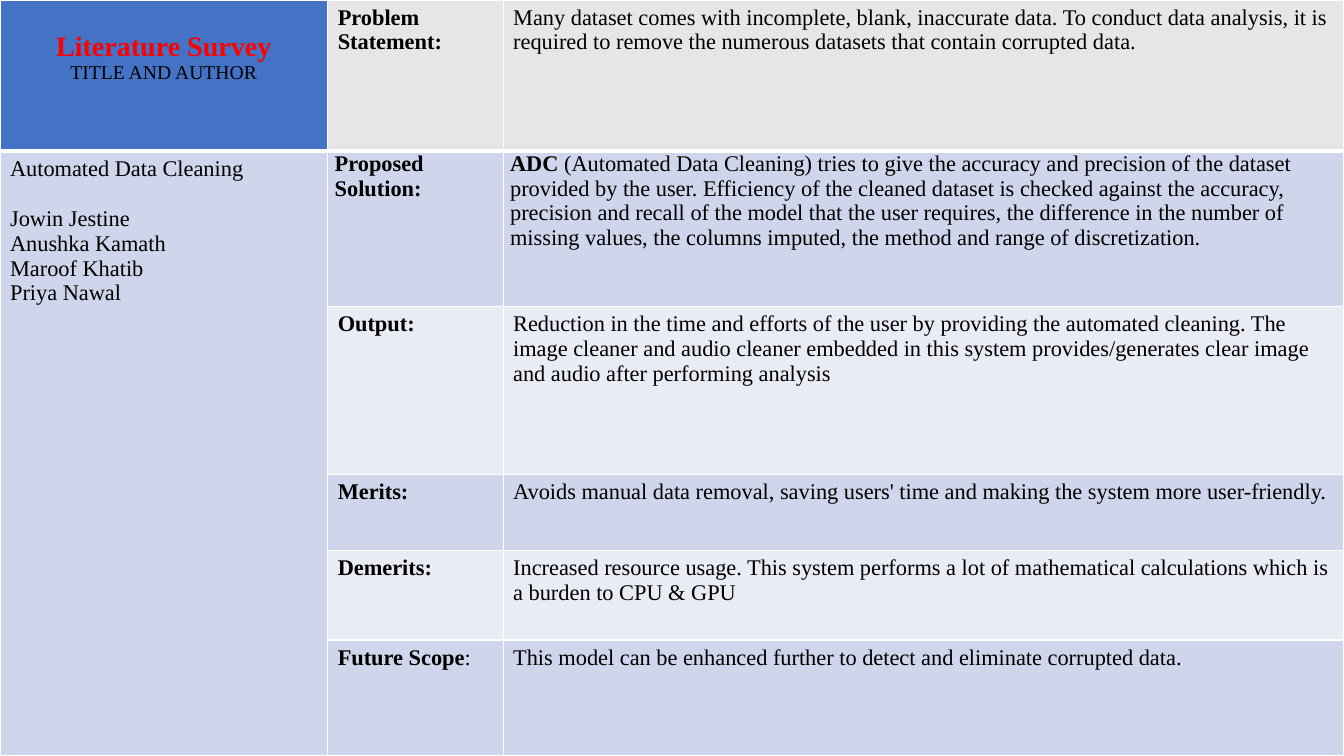
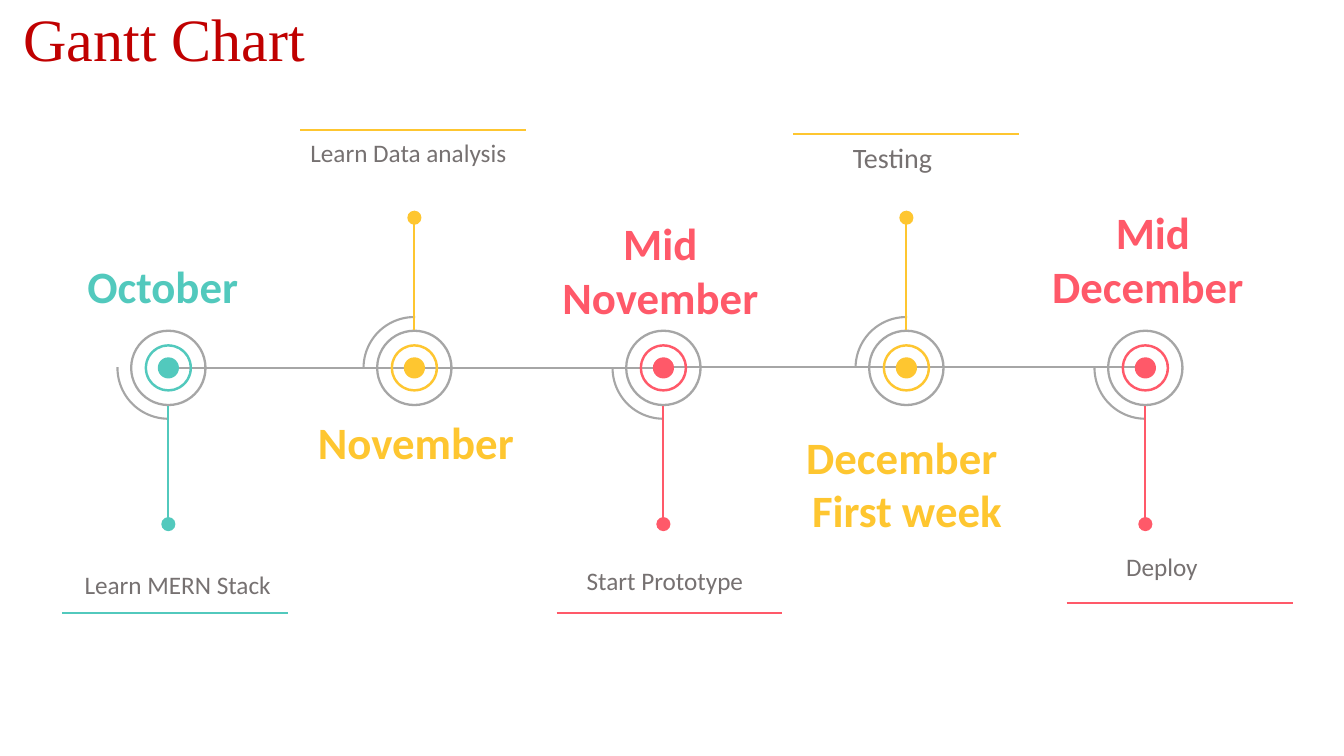
from lxml.etree import SubElement
from pptx import Presentation
from pptx.dml.color import RGBColor
from pptx.enum.shapes import MSO_CONNECTOR, MSO_SHAPE
from pptx.enum.text import MSO_ANCHOR, PP_ALIGN
from pptx.oxml import parse_xml
from pptx.oxml.ns import nsdecls, qn
from pptx.util import Inches, Pt

# Colours and fonts
BLACK = RGBColor(0x00, 0x00, 0x00)
RED = RGBColor(0xFF, 0x00, 0x00)
DARK_RED = RGBColor(0xC0, 0x00, 0x00)
BLUE = RGBColor(0x44, 0x72, 0xC4)
HEADER_GRAY = RGBColor(0xE7, 0xE6, 0xE6)
BAND_DARK = RGBColor(0xCF, 0xD5, 0xEA)
BAND_LIGHT = RGBColor(0xE9, 0xEB, 0xF5)
AXIS_GRAY = RGBColor(0xA6, 0xA6, 0xA6)
LABEL_GRAY = RGBColor(0x76, 0x71, 0x71)
TEAL = RGBColor(0x52, 0xC9, 0xBD)
YELLOW = RGBColor(0xFE, 0xC6, 0x30)
PINK = RGBColor(0xFF, 0x59, 0x69)
SERIF = "Times New Roman"
SANS = "Calibri"


class Deck:
    """Holds the shared style and the current slide."""

    def __init__(self):
        self.prs = Presentation()
        self.prs.slide_width = Inches(13.33)
        self.prs.slide_height = Inches(7.5)
        self.s = None

    def new_slide(self):
        self.s = self.prs.slides.add_slide(self.prs.slide_layouts[6])

    def run(self, p, text, color=BLACK, size=16, **formats):
        r = p.add_run()
        r.text = text
        values = {"name": SERIF, "size": Pt(size), "bold": False, **formats}
        for key, value in values.items():
            setattr(r.font, key, value)
        r.font.color.rgb = color

    def text(self, x, y, w, h, lines, color, size, align=PP_ALIGN.LEFT,
             anchor=MSO_ANCHOR.TOP, spacing=1.0, **formats):
        tf = self.s.shapes.add_textbox(
            Inches(x), Inches(y), Inches(w), Inches(h)).text_frame
        tf.word_wrap = True
        tf.vertical_anchor = anchor
        for i, line in enumerate(lines):
            p = tf.add_paragraph() if i else tf.paragraphs[0]
            p.alignment = align
            p.line_spacing = spacing
            self.run(p, line, color, size, **formats)

    def line(self, x1, y1, x2, y2, color):
        c = self.s.shapes.add_connector(
            MSO_CONNECTOR.STRAIGHT,
            Inches(x1), Inches(y1), Inches(x2), Inches(y2))
        c.line.color.rgb = color
        c.line.width = Pt(1.5)
        SubElement(c._element.spPr, qn("a:effectLst"))

    def round_shape(self, kind, cx, cy, d, color, adjust=()):
        """Shape of diameter d centred on (cx, cy)."""
        sp = self.s.shapes.add_shape(
            kind, Inches(cx - d / 2), Inches(cy - d / 2), Inches(d), Inches(d))
        sp.shadow.inherit = False
        for i, value in enumerate(adjust):
            sp.adjustments[i] = value
        if kind == MSO_SHAPE.ARC:
            sp.fill.background()
            sp.line.color.rgb = color
            sp.line.width = Pt(1.5)
        else:
            sp.fill.solid()
            sp.fill.fore_color.rgb = color
            sp.line.fill.background()
        return sp

    def table(self, cols, rows):
        shape = self.s.shapes.add_table(
            len(rows), len(cols), 0, 0, Inches(sum(cols)), Inches(sum(rows)))
        tbl = shape.table
        tbl.first_row = tbl.horz_banding = False
        for col, w in zip(tbl.columns, cols):
            col.width = Inches(w)
        for row, h in zip(tbl.rows, rows):
            row.height = Inches(h)
        return tbl

    def cell_style(self, cell, fill, bottom=1):
        """Solid fill and white borders."""
        cell.fill.solid()
        cell.fill.fore_color.rgb = fill
        tc_pr = cell._tc.get_or_add_tcPr()
        for i, side in enumerate("LRTB"):
            width = Pt(bottom if side == "B" else 1)
            tc_pr.insert(i, parse_xml(
                f'<a:ln{side} {nsdecls("a")} w="{width}"><a:solidFill>'
                f'<a:srgbClr val="FFFFFF"/></a:solidFill></a:ln{side}>'))

    def cell_text(self, cell, runs):
        p = cell.text_frame.paragraphs[0]
        for text, bold in runs:
            self.run(p, text, bold=bold)


deck = Deck()

# Slide 1: literature survey table
deck.new_slide()
SURVEY = [
    ([("Problem Statement:", True)],
     [("Many dataset comes with incomplete, blank, inaccurate data. To conduct "
       "data analysis, it is required to remove the numerous datasets that "
       "contain corrupted data.", False)]),
    ([("Proposed Solution:", True)],
     [("ADC ", True),
      ("(Automated Data Cleaning) tries to give the accuracy and precision of "
       "the dataset provided by the user. Efficiency of the cleaned dataset is "
       "checked against the accuracy, precision and recall of the model that "
       "the user requires, the difference in the number of missing values, the "
       "columns imputed, the method and range of discretization.", False)]),
    ([("Output:", True)],
     [("Reduction in the time and efforts of the user by providing the "
       "automated cleaning. The image cleaner and audio cleaner embedded in "
       "this system provides/generates clear image and audio after performing "
       "analysis", False)]),
    ([("Merits:", True)],
     [("Avoids manual data removal, saving users' time and making the system "
       "more user-friendly.", False)]),
    ([("Demerits:", True)],
     [("Increased resource usage. This system performs a lot of mathematical "
       "calculations which is a burden to CPU & GPU", False)]),
    ([("Future Scope", True), (":", False)],
     [("This model can be enhanced further to detect and eliminate corrupted "
       "data.", False)]),
]
PAPER = ["Automated Data Cleaning", "Jowin Jestine", "Anushka Kamath",
         "Maroof Khatib", "Priya Nawal"]

tbl = deck.table([3.25, 1.74, 8.34], [1.5, 1.54, 1.67, 0.75, 0.89, 1.15])
tbl.cell(1, 0).merge(tbl.cell(5, 0))
for i, (heading, body) in enumerate(SURVEY):
    band = BAND_DARK if i % 2 else BAND_LIGHT
    right_fill = band if i else HEADER_GRAY
    for j, fill in enumerate((BAND_DARK if i else BLUE, right_fill, right_fill)):
        deck.cell_style(tbl.cell(i, j), fill, 1 if i else 3)
    deck.cell_text(tbl.cell(i, 1), heading)
    deck.cell_text(tbl.cell(i, 2), body)
tbl.cell(5, 2).text_frame.paragraphs[0].alignment = PP_ALIGN.JUSTIFY

# The proposed solution row has tighter margins
for j in (1, 2):
    cell = tbl.cell(1, j)
    cell.margin_left = cell.margin_right = Inches(0.07)
    cell.margin_top = cell.margin_bottom = 0

# Left column: title, then paper and authors
title = tbl.cell(0, 0)
title.margin_top = Inches(0.31)
tf = title.text_frame
deck.run(tf.paragraphs[0], "Literature Survey", RED, 20, bold=True)
deck.run(tf.add_paragraph(), "TITLE AND AUTHOR", size=14)
for p in tf.paragraphs:
    p.alignment = PP_ALIGN.CENTER
tf = tbl.cell(1, 0).text_frame
for i, line in enumerate(PAPER):
    p = tf.add_paragraph() if i else tf.paragraphs[0]
    deck.run(p, line)
tf.paragraphs[1].space_before = Pt(18)

# Slide 2: timeline
deck.new_slide()
AXIS_Y = 3.65
UP, DOWN = -1, 1
RULE_W = 2.24
# centre x, stem side, colour, month lines, month box, label, label x, y, size,
# rule x, y
MILESTONES = [
    (1.67, DOWN, TEAL, ["October "], (0.51, 2.52, 2.31, 0.64),
     "Learn MERN Stack", 0.74, 5.6, 18, 0.62, 6.08),
    (4.11, UP, YELLOW, ["November"], (2.98, 4.07, 2.29, 0.64),
     "Learn Data analysis", 2.98, 1.31, 18, 2.98, 1.29),
    (6.58, DOWN, PINK, ["Mid November"], (5.23, 2.09, 2.64, 1.18),
     "Start Prototype", 5.72, 5.56, 18, 5.52, 6.08),
    (8.99, UP, YELLOW, ["December ", "First week"], (7.85, 4.21, 2.29, 1.18),
     "Testing", 8.36, 1.34, 20, 7.87, 1.33),
    (11.36, DOWN, PINK, ["Mid December "], (10.32, 1.98, 2.23, 1.18),
     "Deploy", 11.07, 5.42, 18, 10.58, 5.98),
]

deck.text(0, 0, 3.26, 0.84, ["Gantt Chart"], DARK_RED, 42.9, PP_ALIGN.CENTER,
          MSO_ANCHOR.MIDDLE, 0.9)

# Axis segments between the nodes
for x, y in ((1.71, 3.65), (4.18, 3.65), (6.61, 3.64), (9.02, 3.64)):
    deck.line(x, y, x + 2.3, y, AXIS_GRAY)

for (cx, side, color, month, month_box, label, label_x, label_y, size,
     rule_x, rule_y) in MILESTONES:
    # Node: quarter arc, centre dot and two rings
    arc = deck.round_shape(MSO_SHAPE.ARC, cx, AXIS_Y, 1.01, AXIS_GRAY,
                           (54.2, 108.53))
    arc.rotation = 90 if side == UP else 0
    deck.round_shape(MSO_SHAPE.OVAL, cx, AXIS_Y, 0.21, color)
    deck.round_shape(MSO_SHAPE.DONUT, cx, AXIS_Y, 0.47, color, (0.05,))
    deck.round_shape(MSO_SHAPE.DONUT, cx, AXIS_Y, 0.76, AXIS_GRAY, (0.03,))
    # Stem with end dot
    deck.line(cx, AXIS_Y + side * 0.38, cx, AXIS_Y + side * 1.51, color)
    deck.round_shape(MSO_SHAPE.OVAL, cx, AXIS_Y + 0.03 + side * 1.52, 0.14, color)
    # Month, task and rule
    deck.text(*month_box, month, color, 32, PP_ALIGN.CENTER, name=SANS, bold=True)
    deck.text(label_x, label_y, 2.26, 0.4, [label], LABEL_GRAY, size, name=SANS)
    deck.line(rule_x, rule_y, rule_x + RULE_W, rule_y, color)

deck.prs.save("out.pptx")
